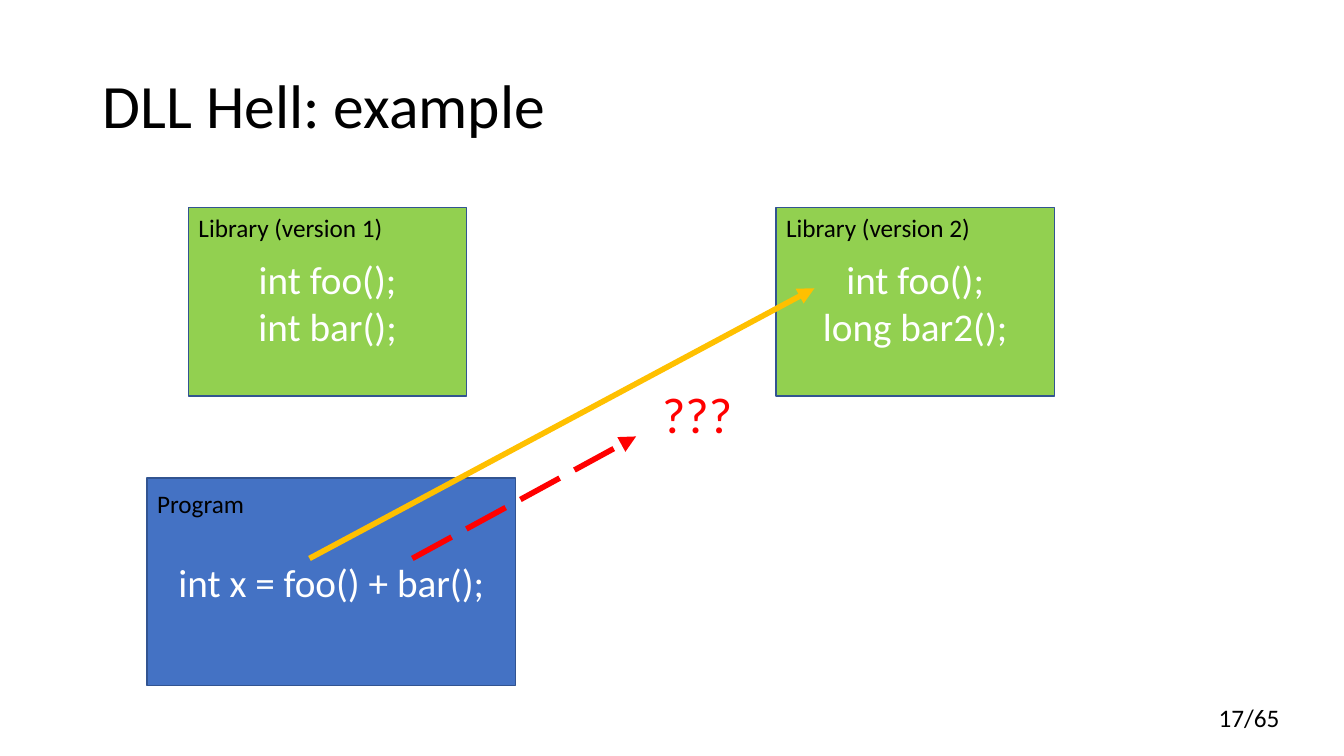
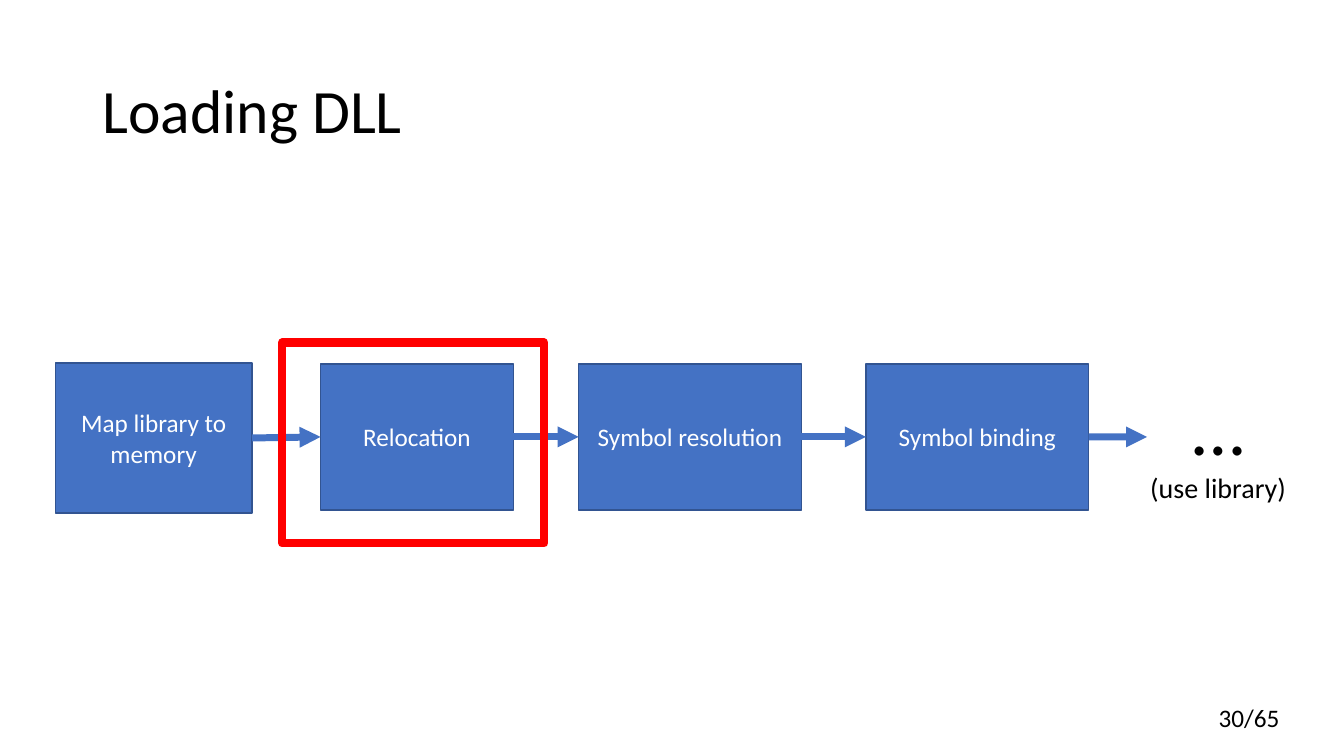
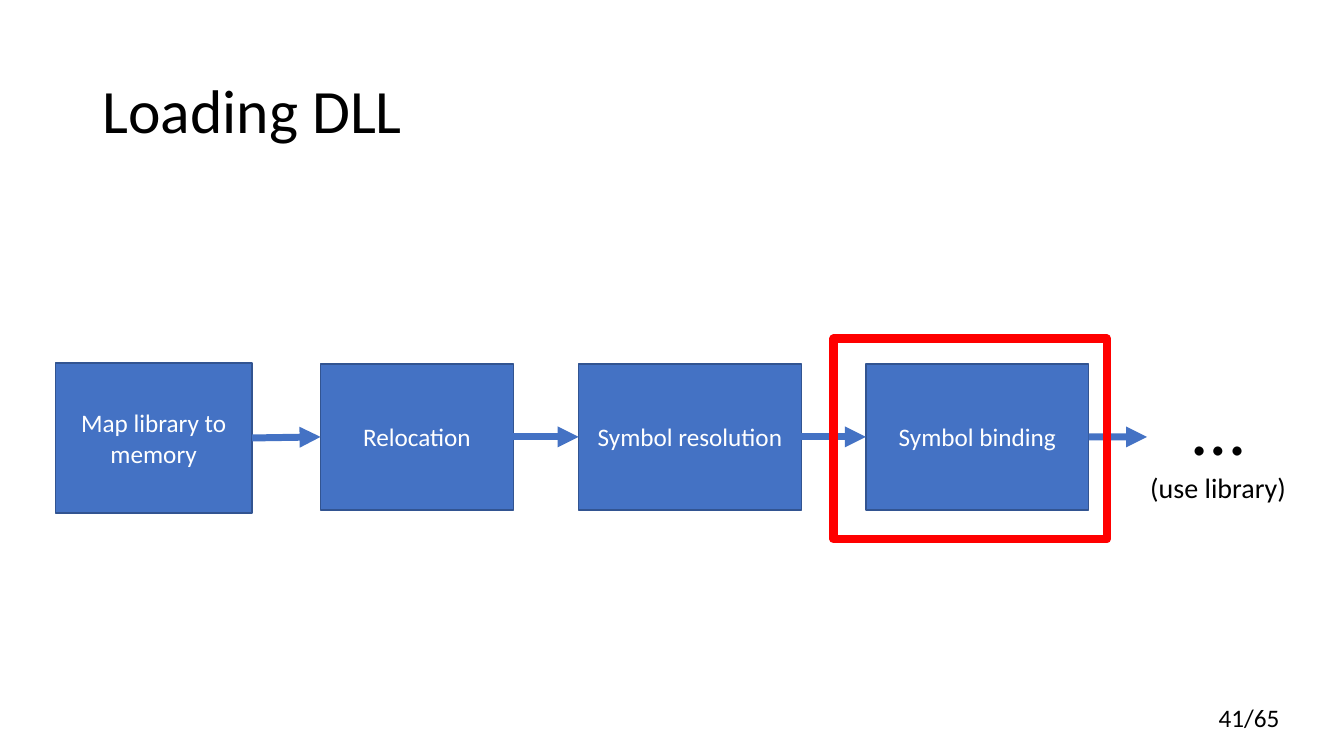
import pptx
import pptx.util
import pptx.dml.color
import pptx.enum.dml
import pptx.enum.shapes
import pptx.enum.text
import pptx.oxml.ns
import lxml.etree

FONT = "Calibri"
INK = {
    "black": "000000",
    "white": "FFFFFF",
    "blue": "4472C4",
    "edge": "325491",
    "green": "92D050",
    "gold": "FFC000",
    "red": "FF0000",
}
WIDE = pptx.util.Inches(40 / 3)
HIGH = pptx.util.Inches(7.5)
PAGES = 65
LEFT = pptx.enum.text.PP_ALIGN.LEFT
MID = pptx.enum.text.PP_ALIGN.CENTER

# All places and sizes below are percentages of the slide's width and height.
LIBS = [
    (14.03, "Library (version 1)", ["int foo();", "int bar();"]),
    (57.75, "Library (version 2)", ["int foo();", "long bar2();"]),
]
STEPS = [
    ("Map library to memory", (4.12, 48, 14.63, 19.87)),
    ("Relocation", (23.85, 48.13, 14.35, 19.33)),
    ("Symbol resolution", (43.05, 48.13, 16.57, 19.33)),
    ("Symbol binding", (64.43, 48.13, 16.57, 19.33)),
]
CHAIN_END = (85.35, 57.8)


def across(share):
    return round(WIDE * share / 100)


def down(share):
    return round(HIGH * share / 100)


def place(area):
    x, y, w, h = area
    return across(x), down(y), across(w), down(h)


def color(name):
    return pptx.dml.color.RGBColor.from_string(INK[name])


def write(shape, lines, ink, align, anchor, leading=None):
    """Fill a shape with (text, size) lines, one paragraph each."""
    frame = shape.text_frame
    frame.word_wrap = True
    frame.vertical_anchor = anchor
    for i, (text, size) in enumerate(lines):
        para = frame.add_paragraph() if i else frame.paragraphs[0]
        para.alignment = align
        if leading:
            para.line_spacing = leading
        run = para.add_run()
        run.text = text
        run.font.name = FONT
        run.font.size = pptx.util.Pt(size)
        run.font.color.rgb = color(ink)


def label(slide, area, lines, ink="black", align=LEFT,
          anchor=pptx.enum.text.MSO_ANCHOR.TOP, leading=None):
    shape = slide.shapes.add_textbox(*place(area))
    write(shape, lines, ink, align, anchor, leading)


def block(slide, area, lines=(), fill=None, edge="edge", width=1):
    """Add a rectangle; without a fill it is an open frame."""
    shape = slide.shapes.add_shape(
        pptx.enum.shapes.MSO_SHAPE.RECTANGLE, *place(area))
    shape.shadow.inherit = False
    if fill:
        shape.fill.solid()
        shape.fill.fore_color.rgb = color(fill)
    else:
        shape.fill.background()
    shape.line.color.rgb = color(edge)
    shape.line.width = pptx.util.Pt(width)
    if lines:
        write(shape, lines, "white", MID, pptx.enum.text.MSO_ANCHOR.MIDDLE)


def arrow(slide, start, end, ink, width, dash=None):
    line = slide.shapes.add_connector(
        pptx.enum.shapes.MSO_CONNECTOR.STRAIGHT,
        across(start[0]), down(start[1]), across(end[0]), down(end[1]))
    line.line.color.rgb = color(ink)
    line.line.width = pptx.util.Pt(width)
    if dash:
        line.line.dash_style = dash
    qn = pptx.oxml.ns.qn
    props = line._element.spPr
    tip = lxml.etree.SubElement(props.find(qn("a:ln")), qn("a:tailEnd"))
    tip.set("type", "triangle")
    lxml.etree.SubElement(props, qn("a:effectLst"))


def page(deck, title, number, top):
    slide = deck.slides.add_slide(deck.slide_layouts[6])
    label(slide, (89.93, 92.27, 10, 5.33), [(f"{number}/{PAGES}", 18)])
    label(slide, (6.9, top, 86.25, 19.33), [(title, 44)],
          anchor=pptx.enum.text.MSO_ANCHOR.MIDDLE, leading=0.9)
    return slide


def clash(deck):
    """Show a program that calls into two versions of a library."""
    slide = page(deck, "DLL Hell: example", 17, 4.67)
    block(slide, (10.95, 63.2, 27.4, 27.47),
          [("int x = foo() + bar();", 28)], "blue")
    label(slide, (10.95, 63.87, 12.1, 5.33), [("Program", 18)])
    for x, name, calls in LIBS:
        block(slide, (x, 27.47, 20.7, 24.93),
              [(call, 28) for call in calls], "green")
        label(slide, (x, 27.47, 20, 5.33), [(name, 18)])
    arrow(slide, (23.03, 73.87), (60.6, 38.13), "gold", 4)
    arrow(slide, (30.68, 73.87), (47.33, 57.73), "red", 4,
          pptx.enum.dml.MSO_LINE.LONG_DASH)
    label(slide, (48.53, 50, 7.73, 9.47), [("???", 36)], "red")


def chain(deck, number, focus):
    """Show the loading steps with a red frame at the focus area."""
    slide = page(deck, "Loading DLL", number, 5.33)
    for name, area in STEPS:
        block(slide, area, [(name, 18)], "blue")
    entries = [(x, y + h / 2) for _, (x, y, w, h) in STEPS]
    exits = [(x + w, y + h / 2) for _, (x, y, w, h) in STEPS]
    for start, end in zip(exits, entries[1:] + [CHAIN_END]):
        arrow(slide, start, end, "blue", 5)
    label(slide, (82.35, 49.6, 16.57, 18),
          [("…", 54), ("(use library)", 20)], align=MID)
    block(slide, focus, edge="red", width=6)


def main():
    deck = pptx.Presentation()
    deck.slide_width, deck.slide_height = WIDE, HIGH
    clash(deck)
    chain(deck, 30, (21, 45.33, 19.5, 26.53))
    chain(deck, 41, (62.03, 44.8, 20.33, 26.53))
    deck.save("out.pptx")


if __name__ == "__main__":
    main()
